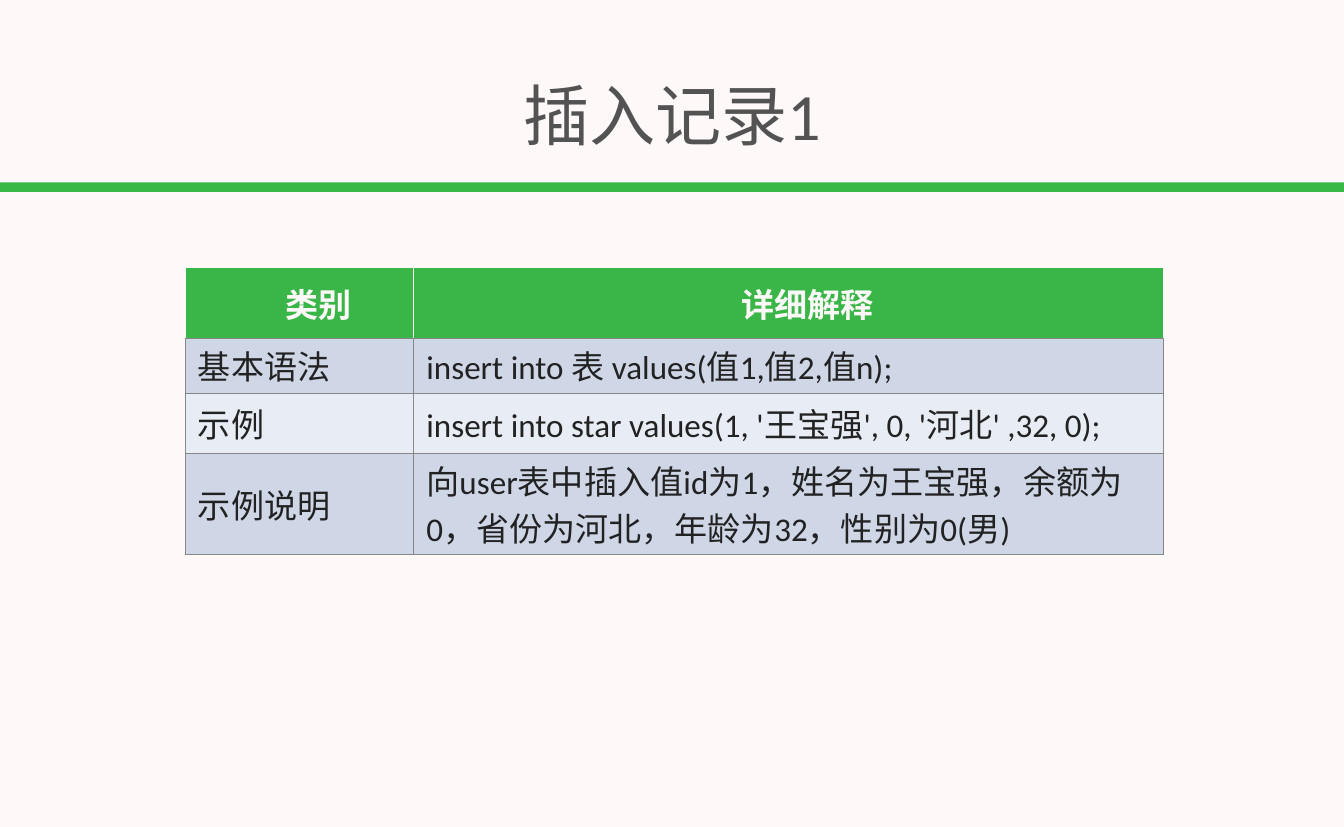
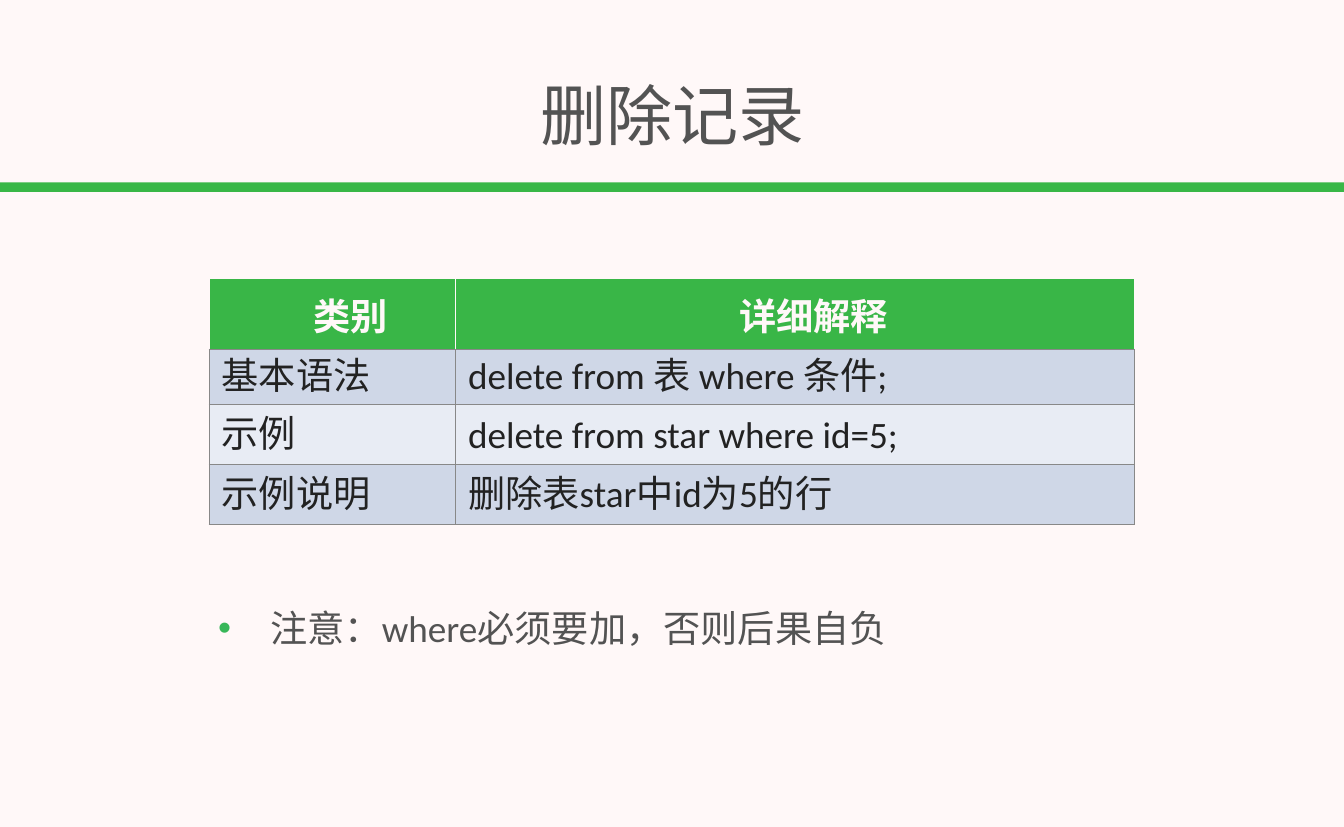
import pptx
import pptx.util
import pptx.dml.color
import pptx.enum.shapes
import pptx.enum.text
import pptx.oxml
import pptx.oxml.ns

Inches = pptx.util.Inches
Pt = pptx.util.Pt
ALIGN = pptx.enum.text.PP_ALIGN
ANCHOR = pptx.enum.text.MSO_ANCHOR

COLORS = {
    "background": "FFF8F8",
    "band": "39B747",
    "header": "39B647",
    "title": "535353",
    "cell_text": "222222",
    "odd_row": "CFD7E7",
    "even_row": "E8ECF4",
    "border": "888888",
    "bullet": "38B759",
}
FONT = "Calibri"
HEADINGS = ("类别", "详细解释")
LABELS = ("基本语法", "示例", "示例说明")


def rgb(name):
    return pptx.dml.color.RGBColor.from_string(COLORS[name])


def apply(target, values):
    for name, value in values.items():
        setattr(target, name, value)


def xml(markup):
    return pptx.oxml.parse_xml(markup.replace(" ", f" {pptx.oxml.ns.nsdecls('a')} ", 1))


class Deck:
    def __init__(self, width, height):
        self.presentation = pptx.Presentation()
        apply(self.presentation, {"slide_width": Inches(width), "slide_height": Inches(height)})

    def add_slide(self, title):
        self.slide = self.presentation.slides.add_slide(self.presentation.slide_layouts[5])
        fill = self.slide.background.fill
        fill.solid()
        fill.fore_color.rgb = rgb("background")
        self.band(-0.01, 2.45, 18.08, 0.13)
        self.title(title, 0.05, 0.82, 17.97, 1.42)

    def band(self, *box):
        shape = self.slide.shapes.add_shape(
            pptx.enum.shapes.MSO_SHAPE.RECTANGLE, *map(Inches, box))
        shape.shadow.inherit = False
        shape.fill.solid()
        shape.fill.fore_color.rgb = rgb("band")
        shape.line.fill.background()

    def add_text(self, paragraph, text, size, color, bold=False, **layout):
        apply(paragraph, layout)
        run = paragraph.add_run()
        run.text = text
        apply(run.font, {"name": FONT, "size": Pt(size), "bold": bold})
        run.font.color.rgb = rgb(color)

    def frame(self, shape, anchor):
        margins = {f"margin_{side}": Inches(0.05) for side in ("left", "top", "right", "bottom")}
        apply(shape.text_frame, {
            "word_wrap": True, "vertical_anchor": anchor,
            "auto_size": pptx.enum.text.MSO_AUTO_SIZE.NONE, **margins})
        return shape.text_frame.paragraphs[0]

    def title(self, text, left, top, width, height):
        shape = self.slide.shapes.title
        apply(shape, {"left": Inches(left), "top": Inches(top),
                      "width": Inches(width), "height": Inches(height)})
        self.add_text(self.frame(shape, ANCHOR.MIDDLE), text, 64, "title", alignment=ALIGN.CENTER)

    def note(self, text, *box):
        shape = self.slide.shapes.add_textbox(*map(Inches, box))
        paragraph = self.frame(shape, ANCHOR.TOP)
        self.add_text(paragraph, text, 36, "title", space_before=Pt(11))
        properties = paragraph._p.get_or_add_pPr()
        properties.set("marL", str(Inches(1.4)))
        properties.set("indent", str(Inches(-0.7)))
        properties.append(xml(f'<a:buClr ><a:srgbClr val="{COLORS["bullet"]}"/></a:buClr>'))
        properties.append(xml('<a:buFont typeface="Arial"/>'))
        properties.append(xml('<a:buChar char="•"/>'))

    def borders(self, cell, **sides):
        properties = cell._tc.get_or_add_tcPr()
        for index, (side, color) in enumerate(sides.items()):
            properties.insert(index, xml(
                f'<a:ln{side} w="{Pt(1)}"><a:solidFill>'
                f'<a:srgbClr val="{COLORS[color]}"/></a:solidFill></a:ln{side}>'))

    def cell(self, cell, text, size, row):
        is_header = row == 0
        horizontal, vertical = (0, 0) if is_header else (0.17, 0.04)
        apply(cell, {
            "vertical_anchor": ANCHOR.MIDDLE,
            "margin_left": Inches(horizontal), "margin_right": Inches(horizontal),
            "margin_top": Inches(vertical), "margin_bottom": Inches(vertical)})
        cell.fill.solid()
        paragraph = cell.text_frame.paragraphs[0]
        if is_header:
            cell.fill.fore_color.rgb = rgb("header")
            self.add_text(paragraph, text, size, "background", True, alignment=ALIGN.CENTER)
            paragraph._p.get_or_add_pPr().set("indent", str(Inches(0.5)))
        else:
            cell.fill.fore_color.rgb = rgb("odd_row" if row % 2 else "even_row")
            self.add_text(paragraph, text, size, "cell_text", line_spacing=Pt(46))
        edge = "background" if is_header else "border"
        self.borders(cell, L=edge, R=edge, T=edge, B="border")

    def table(self, left, top, widths, heights, details, size):
        rows = [HEADINGS, *zip(LABELS, details)]
        table = self.slide.shapes.add_table(
            len(rows), len(widths), Inches(left), Inches(top),
            Inches(sum(widths)), Inches(sum(heights))).table
        for column, width in zip(table.columns, widths):
            column.width = Inches(width)
        for index, (height, texts) in enumerate(zip(heights, rows)):
            table.rows[index].height = Inches(height)
            for column, text in enumerate(texts):
                self.cell(table.cell(index, column), text, size, index)


deck = Deck(18.06, 11.11)

deck.add_slide("插入记录1")
deck.table(2.49, 3.59, (3.07, 10.08), (0.95, 0.74, 0.81, 1.36), (
    "insert into 表 values(值1,值2,值n);",
    "insert into star values(1, '王宝强', 0, '河北' ,32, 0);",
    "向user表中插入值id为1，姓名为王宝强，余额为0，省份为河北，年龄为32，性别为0(男)",
), 32)

deck.add_slide("删除记录")
deck.table(2.81, 3.74, (3.31, 9.13), (0.95, 0.74, 0.81, 0.81), (
    "delete from 表 where 条件;",
    "delete from star where id=5;",
    "删除表star中id为5的行",
), 36)
deck.note("注意：where必须要加，否则后果自负", 2.18, 8.08, 14.49, 1.02)

deck.presentation.save("out.pptx")
